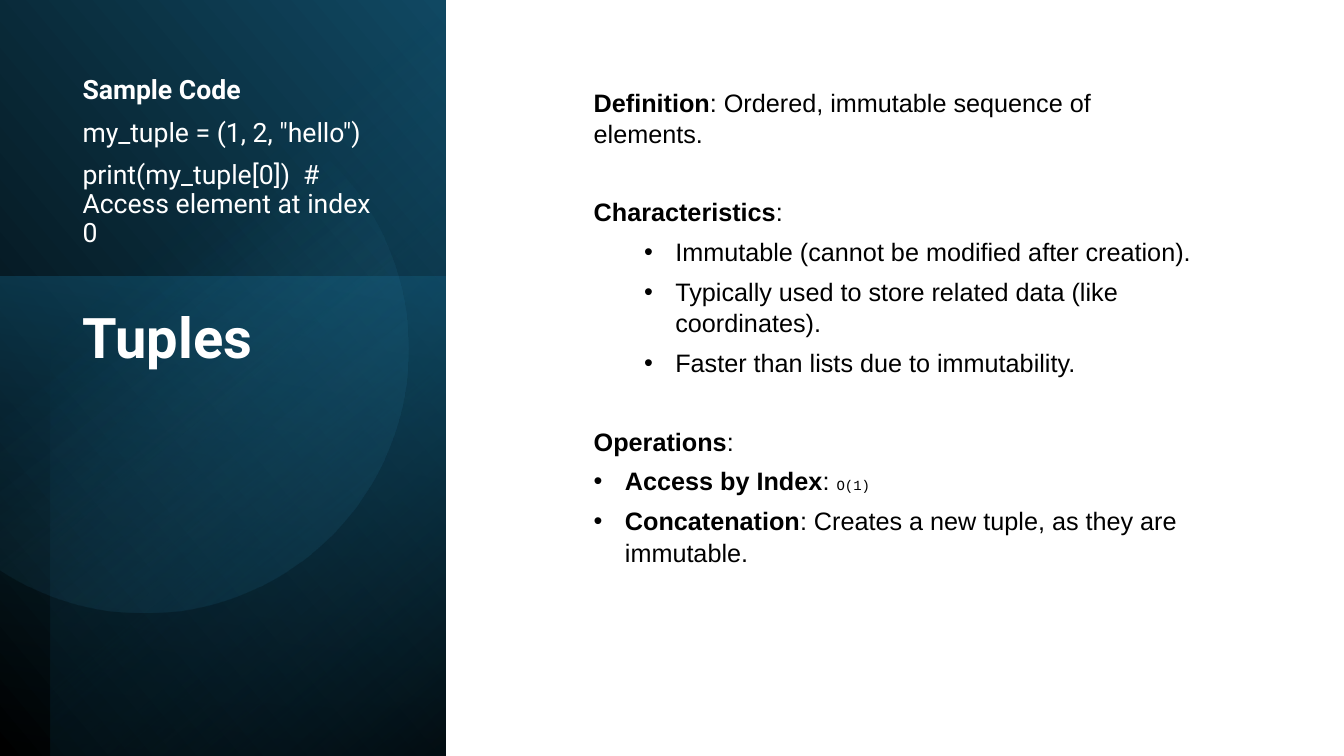
import math
from dataclasses import dataclass

from pptx import Presentation
from pptx.dml.color import RGBColor
from pptx.enum.shapes import MSO_SHAPE
from pptx.enum.text import MSO_ANCHOR, MSO_AUTO_SIZE, PP_ALIGN
from pptx.oxml import parse_xml
from pptx.oxml.ns import nsdecls, qn
from pptx.util import Inches, Pt

RECTANGLE = MSO_SHAPE.RECTANGLE
TOP, BOTTOM = MSO_ANCHOR.TOP, MSO_ANCHOR.BOTTOM
LEFT = PP_ALIGN.LEFT
NO_AUTOFIT = MSO_AUTO_SIZE.NONE

COLORS = {
    "black": "000000",
    "white": "FFFFFF",
    "navy": "104862",
    "teal": "156082",
    "deep": "0B3041",
    "sky": "46B1E1",
}
HEADING_FONT, BODY_FONT, CODE_FONT = "Roboto", "Arial", "Courier New"
BLOCK_GAP = 27.5


@dataclass
class Stop:
    position: int
    color: str
    opacity: int = 100


@dataclass
class Panel:
    box: tuple[float, float, float, float]
    rotation: float
    flipped: bool
    angle: float
    stops: list[Stop]


@dataclass
class Span:
    text: str
    bold: bool = False
    size: float = 18
    font: str = BODY_FONT
    color: str = "black"


@dataclass
class Para:
    spans: list[Span]
    indent: float = 0
    level: int = 0
    before: float = 0
    after: float = 6
    spacing: float = 1.04


PANELS = [
    Panel((-1.55, 1.55, 7.52, 4.42), 90, True, 310, [Stop(0, "black"), Stop(100, "navy")]),
    Panel((-0.17, 2.91, 4.76, 4.42), 270, False, 190, [Stop(0, "teal", 50), Stop(100, "deep", 0)]),
    Panel((-1.29, 1.79, 7.5, 3.92), 270, True, 220, [Stop(0, "black", 59), Stop(69, "teal", 0)]),
]


def heading_para(text: str, size: float, bold: bool, before: float) -> Para:
    span = Span(text, bold, size, HEADING_FONT, "white")
    return Para([span], before=before, after=0, spacing=0.9)


TITLE = [heading_para("Tuples", 40, True, 0)]
SAMPLE_CODE = [
    heading_para(text, 19, bold, 10)
    for text, bold in [
        ("Sample Code", True),
        ('my_tuple = (1, 2, "hello")', False),
        ("print(my_tuple[0])  # Access element at index 0", False),
    ]
]
CHARACTERISTICS = [
    "Immutable (cannot be modified after creation).",
    "Typically used to store related data (like coordinates).",
    "Faster than lists due to immutability.",
]
BODY = [
    Para([Span("Definition", True), Span(": Ordered, immutable sequence of elements.")]),
    Para([Span("Characteristics", True), Span(":")], before=BLOCK_GAP),
    *[Para([Span(text)], indent=0.81, level=1) for text in CHARACTERISTICS],
    Para([Span("Operations", True), Span(":")], before=BLOCK_GAP),
    Para([Span("Access by Index", True), Span(": "), Span("O(1)", size=10, font=CODE_FONT)],
         indent=0.31),
    Para([Span("Concatenation", True), Span(": Creates a new tuple, as they are immutable.")],
         indent=0.31),
]


def paint_gradient(shape, stops: list[Stop], angle: float) -> None:
    """Give a shape a linear gradient with opacity, no outline and no shadow."""
    shape.shadow.inherit = False
    shape.line.fill.background()
    shape.fill.gradient()
    stop_xml = "".join(
        f'<a:gs pos="{stop.position * 1000}"><a:srgbClr val="{COLORS[stop.color]}">'
        f'<a:alpha val="{stop.opacity * 1000}"/></a:srgbClr></a:gs>'
        for stop in stops
    )
    gradient = parse_xml(
        f'<a:gradFill {nsdecls("a")} rotWithShape="1"><a:gsLst>{stop_xml}</a:gsLst>'
        f'<a:lin ang="{round(angle * 60000)}" scaled="0"/></a:gradFill>'
    )
    properties = shape.element.spPr
    properties.replace(properties.find(qn("a:gradFill")), gradient)


def draw_panel(page, panel: Panel) -> None:
    shape = page.shapes.add_shape(RECTANGLE, *map(Inches, panel.box))
    shape.rotation = panel.rotation
    if panel.flipped:
        shape.element.spPr.find(qn("a:xfrm")).set("flipH", "1")
    paint_gradient(shape, panel.stops, panel.angle)


def draw_disc(page, center_x: float, center_y: float, radius: float) -> None:
    """Draw a circle cut off by the left edge of the slide."""
    limit = math.acos(-center_x / radius)
    steps = 120
    angles = [limit * (2 * step / steps - 1) for step in range(steps + 1)]
    points = [
        (Inches(center_x + radius * math.cos(angle)), Inches(center_y + radius * math.sin(angle)))
        for angle in angles
    ]
    builder = page.shapes.build_freeform(*points[0])
    builder.add_line_segments(points[1:], close=True)
    paint_gradient(builder.convert_to_shape(), [Stop(39, "sky", 0), Stop(100, "navy", 26)], 51.6)


def add_bullet(para, indent: float) -> None:
    properties = para._p.get_or_add_pPr()
    properties.set("marL", str(Inches(indent)))
    properties.set("indent", str(Inches(-0.31)))
    properties.append(parse_xml(f'<a:buFont {nsdecls("a")} typeface="Arial"/>'))
    properties.append(parse_xml(f'<a:buChar {nsdecls("a")} char="•"/>'))


def fill_text(box, paras: list[Para], anchor) -> None:
    frame = box.text_frame
    frame.word_wrap = True
    frame.auto_size = NO_AUTOFIT
    frame.vertical_anchor = anchor
    for index, item in enumerate(paras):
        para = frame.add_paragraph() if index else frame.paragraphs[0]
        para.alignment = LEFT
        para.level = item.level
        para.line_spacing = item.spacing
        para.space_before = Pt(item.before)
        para.space_after = Pt(item.after)
        if item.indent:
            add_bullet(para, item.indent)
        for span in item.spans:
            run = para.add_run()
            run.text = span.text
            run.font.name = span.font
            run.font.size = Pt(span.size)
            run.font.bold = span.bold
            run.font.color.rgb = RGBColor.from_string(COLORS[span.color])


def main() -> None:
    deck = Presentation()
    deck.slide_width, deck.slide_height = Inches(13.33), Inches(7.5)
    page = deck.slides.add_slide(deck.slide_layouts[5])

    # Layered dark side panel
    for panel in PANELS:
        draw_panel(page, panel)
    draw_disc(page, 1.43, 3.46, 2.62)

    # Title, brought in front of the panel
    title = page.shapes.title
    title.element.getparent().append(title.element)
    title.left, title.top, title.width, title.height = map(Inches, (0.72, 3.03, 3.15, 3.36))
    fill_text(title, TITLE, TOP)

    # Sample code above the title
    code_box = page.shapes.add_textbox(*map(Inches, (0.72, 0.88, 3.19, 1.63)))
    fill_text(code_box, SAMPLE_CODE, BOTTOM)

    # Explanation on the right
    body_box = page.shapes.add_textbox(*map(Inches, (5.79, 0.77, 6.28, 5.18)))
    body_box.text_frame.margin_top = Inches(0.08)
    fill_text(body_box, BODY, TOP)

    deck.save("out.pptx")


if __name__ == "__main__":
    main()
